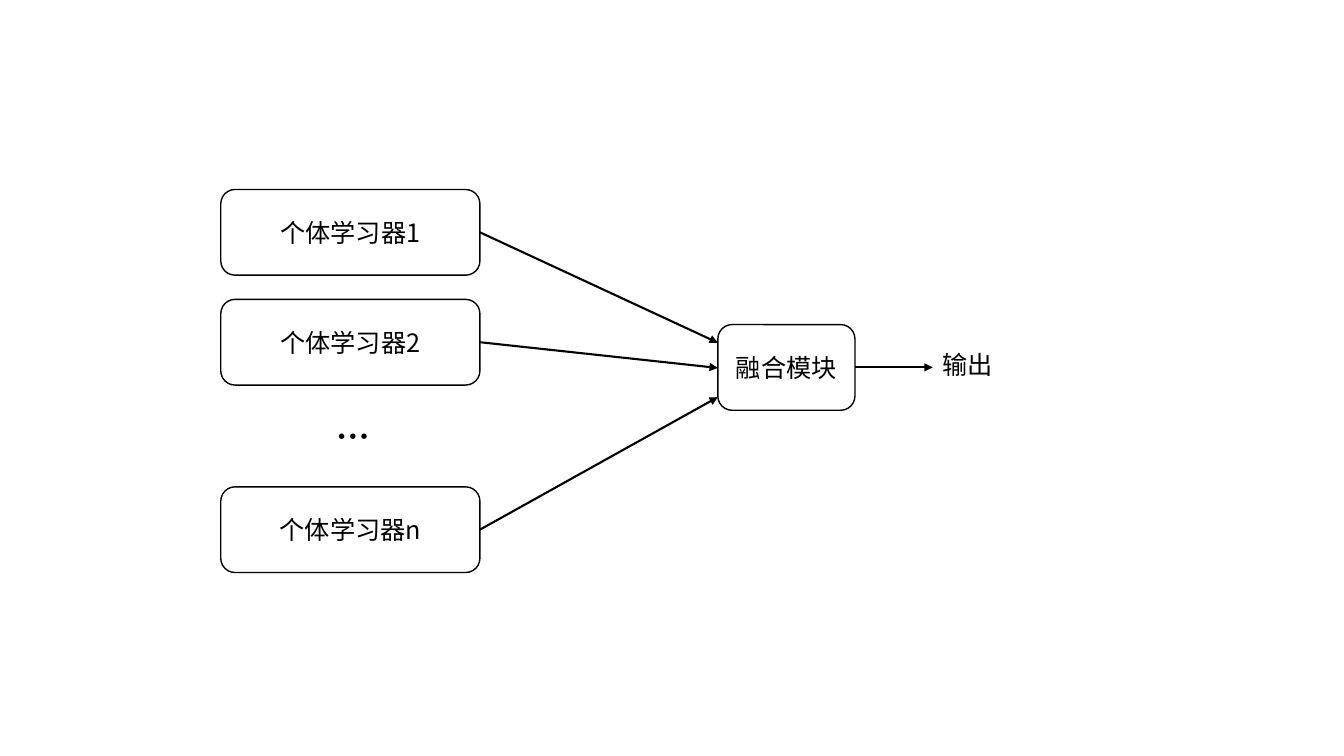
"""Draw several individual learners feeding a fusion module that gives the output."""
from lxml.etree import SubElement
from pptx import Presentation
from pptx.dml.color import RGBColor
from pptx.enum.shapes import MSO_CONNECTOR as CONNECTOR, MSO_SHAPE as SHAPE
from pptx.enum.text import MSO_ANCHOR as ANCHOR, MSO_AUTO_SIZE as AUTO_SIZE, PP_ALIGN as ALIGN
from pptx.oxml.ns import qn
from pptx.util import Inches, Pt

BLACK = RGBColor(0x00, 0x00, 0x00)
WHITE = RGBColor(0xFF, 0xFF, 0xFF)
FONT = "Noto Sans CJK SC"
BOX_H = 0.85
LEARNER_X, LEARNER_W = 2.19, 2.57
FUSION_X, FUSION_Y, FUSION_W = 7.12, 3.22, 1.36
OUTPUT_X = 9.25
LEARNERS = [("个体学习器1", 1.88, 3.4), ("个体学习器2", 2.97, 3.65), ("个体学习器n", 4.83, 3.94)]


def write(tf, text, size=18, bold=False, align=ALIGN.LEFT):
    p = tf.paragraphs[0]
    p.alignment = align
    p.font.name, p.font.size, p.font.bold = FONT, Pt(size), bold
    p.font.color.rgb = BLACK
    r = p.add_run()
    r.text = text
    SubElement(r.font._element, qn("a:ea"), typeface=FONT)


def add_box(s, text, x, y, w):
    sp = s.shapes.add_shape(SHAPE.ROUNDED_RECTANGLE, Inches(x), Inches(y), Inches(w), Inches(BOX_H))
    sp.shadow.inherit = False
    sp.fill.solid()
    sp.fill.fore_color.rgb = WHITE
    sp.line.color.rgb = BLACK
    sp.line.width = Pt(1)
    sp.text_frame.vertical_anchor = ANCHOR.MIDDLE
    write(sp.text_frame, text, align=ALIGN.CENTER)


def add_label(s, text, x, y, w, h, size=18, bold=False):
    sp = s.shapes.add_textbox(Inches(x), Inches(y), Inches(w), Inches(h))
    tf = sp.text_frame
    tf.word_wrap = False
    tf.auto_size = AUTO_SIZE.SHAPE_TO_FIT_TEXT
    write(tf, text, size, bold)


def add_arrow(s, x1, y1, x2, y2):
    c = s.shapes.add_connector(CONNECTOR.STRAIGHT, Inches(x1), Inches(y1), Inches(x2), Inches(y2))
    c.line.color.rgb = BLACK
    c.line.width = Pt(1.5)
    SubElement(c.line._get_or_add_ln(), qn("a:tailEnd"), type="triangle")
    SubElement(c._element.spPr, qn("a:effectLst"))


def main():
    prs = Presentation()
    prs.slide_width, prs.slide_height = Inches(13.33), Inches(7.5)
    s = prs.slides.add_slide(prs.slide_layouts[6])
    for text, y, _ in LEARNERS:
        add_box(s, text, LEARNER_X, y, LEARNER_W)
    add_label(s, "…", 3.24, 4.08, 0.48, 0.5, size=24, bold=True)
    add_box(s, "融合模块", FUSION_X, FUSION_Y, FUSION_W)
    for _, y, target_y in LEARNERS:
        add_arrow(s, LEARNER_X + LEARNER_W, y + BOX_H / 2, FUSION_X, target_y)
    middle = FUSION_Y + BOX_H / 2
    add_arrow(s, FUSION_X + FUSION_W, middle, OUTPUT_X, middle)
    add_label(s, "输出", OUTPUT_X, 3.42, 0.71, 0.4)
    prs.save("out.pptx")


if __name__ == "__main__":
    main()
